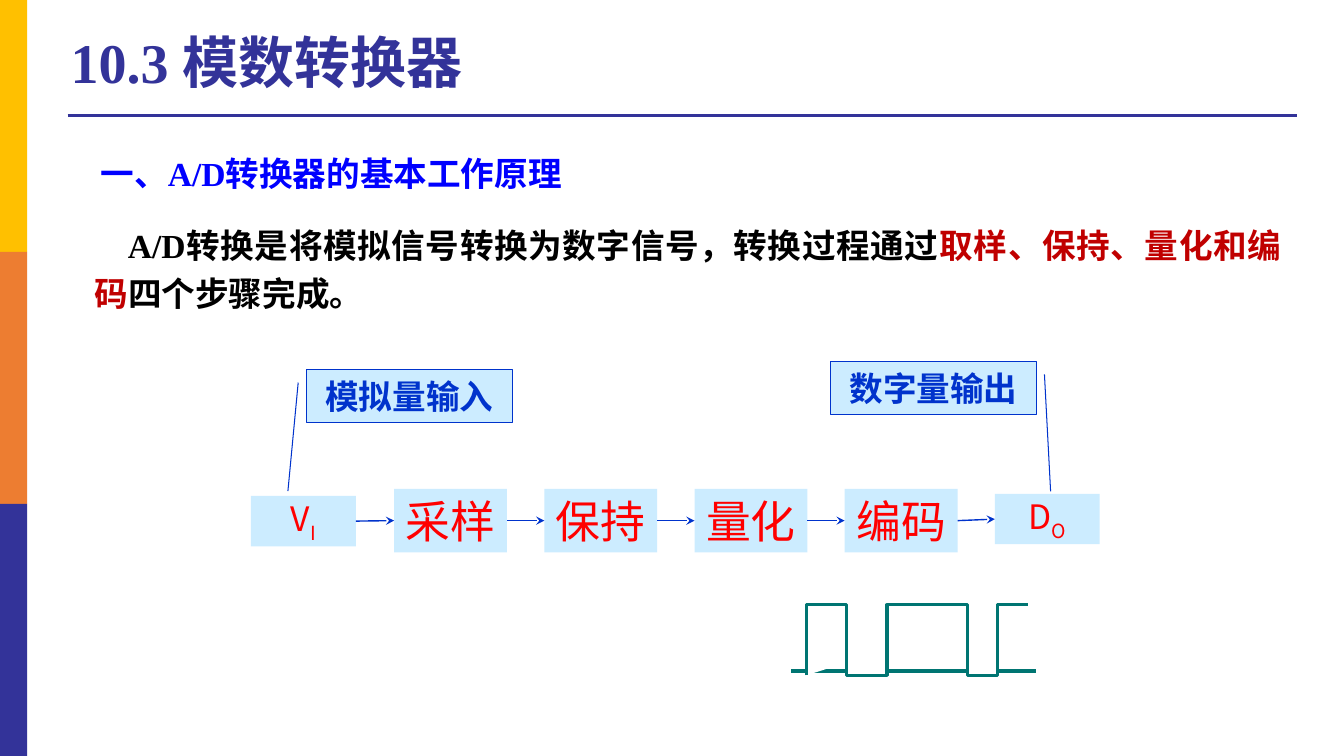
from dataclasses import dataclass
from typing import Optional

from lxml import etree
from pptx import Presentation
from pptx.dml.color import RGBColor
from pptx.enum.shapes import MSO_CONNECTOR, MSO_SHAPE
from pptx.enum.text import MSO_ANCHOR, MSO_AUTO_SIZE, PP_ALIGN
from pptx.oxml.ns import qn
from pptx.util import Inches, Pt

RECTANGLE = MSO_SHAPE.RECTANGLE
CALLOUT = MSO_SHAPE.LINE_CALLOUT_1
STRAIGHT = MSO_CONNECTOR.STRAIGHT
LEFT, CENTER, JUSTIFY = PP_ALIGN.LEFT, PP_ALIGN.CENTER, PP_ALIGN.JUSTIFY
TOP, MIDDLE = MSO_ANCHOR.TOP, MSO_ANCHOR.MIDDLE
SIDE_LEFT, SIDE_RIGHT = 1, 3

# The grid has square cells, ten to the inch.
CELL = Inches(0.1)
COLUMNS, ROWS = 133.33, 75


@dataclass(frozen=True)
class Theme:
    navy: str = "333399"
    gold: str = "FFC000"
    orange: str = "ED7D31"
    heading: str = "0000FF"
    body: str = "000000"
    emphasis: str = "C00000"
    step_text: str = "FF0000"
    step_fill: str = "CCECFF"
    diagram: str = "0033CC"
    pulse: str = "007572"
    white: str = "FFFFFF"
    serif: str = "Times New Roman"
    sans: str = "Noto Sans CJK SC"
    title_size: int = 40
    step_size: int = 32
    text_size: int = 24


THEME = Theme()


@dataclass(frozen=True)
class Box:
    left: float
    top: float
    width: float
    height: float

    def lengths(self) -> tuple:
        return tuple(cells(value) for value in (self.left, self.top, self.width, self.height))


@dataclass(frozen=True)
class Style:
    size: int
    color: str
    font: str
    bold: bool = False
    align: PP_ALIGN = LEFT
    anchor: MSO_ANCHOR = TOP
    line_spacing: float = 1.0


@dataclass(frozen=True)
class Run:
    text: str
    color: Optional[str] = None
    subscript: bool = False


@dataclass(frozen=True)
class Stage:
    box: Box
    runs: tuple
    size: int


@dataclass(frozen=True)
class Callout:
    box: Box
    text: str
    pointer: tuple


def cells(count: float) -> int:
    return round(count * CELL)


def rgb(color: str) -> RGBColor:
    return RGBColor.from_string(color)


def write(shape, runs: tuple, style: Style):
    """Fill the shape with one styled paragraph and return that paragraph."""
    frame = shape.text_frame
    frame.word_wrap = True
    frame.auto_size = MSO_AUTO_SIZE.NONE
    frame.vertical_anchor = style.anchor
    paragraph = frame.paragraphs[0]
    paragraph.alignment = style.align
    paragraph.line_spacing = style.line_spacing
    font = paragraph.font
    font.size, font.bold, font.name = Pt(style.size), style.bold, style.font
    font.color.rgb = rgb(style.color)
    properties = paragraph._p.get_or_add_pPr().find(qn("a:defRPr"))
    etree.SubElement(properties, qn("a:ea"), typeface=THEME.sans)
    for part in runs:
        run = paragraph.add_run()
        run.text = part.text
        if part.color:
            run.font.color.rgb = rgb(part.color)
        if part.subscript:
            run.font._element.set("baseline", "-25000")
    return paragraph


def add_text(slide, box: Box, runs: tuple, style: Style):
    return write(slide.shapes.add_textbox(*box.lengths()), runs, style)


def add_block(slide, box: Box, fill: str, preset: MSO_SHAPE = RECTANGLE):
    shape = slide.shapes.add_shape(preset, *box.lengths())
    shape.shadow.inherit = False
    shape.fill.solid()
    shape.fill.fore_color.rgb = rgb(fill)
    shape.line.fill.background()
    return shape


def set_line(shape, color: str, width: float) -> None:
    shape.line.color.rgb = rgb(color)
    shape.line.width = Pt(width)


def add_line(slide, start: tuple, end: tuple, color: str, width: float):
    line = slide.shapes.add_connector(STRAIGHT, *map(cells, start + end))
    set_line(line, color, width)
    etree.SubElement(line._element.spPr, qn("a:effectLst"))
    return line


def add_arrow(slide, source, target) -> None:
    arrow = add_line(slide, (0, 0), (1, 1), THEME.diagram, 1)
    arrow.begin_connect(source, SIDE_RIGHT)
    arrow.end_connect(target, SIDE_LEFT)
    etree.SubElement(arrow.line._get_or_add_ln(), qn("a:tailEnd"), type="stealth")


def add_frame(slide) -> None:
    """Draw the side bands, the title rule and the title."""
    add_line(slide, (6.7, 11.5), (128.7, 11.5), THEME.navy, 2.25)
    band = ROWS / 3
    for index, color in enumerate((THEME.gold, THEME.orange, THEME.navy)):
        add_block(slide, Box(0, index * band, 2.7, band), color)
    title = slide.shapes.title
    title.left, title.top, title.width, title.height = Box(6, 2.1, 99.1, 8.7).lengths()
    write(title, (Run("10.3 模数转换器"),),
          Style(THEME.title_size, THEME.navy, THEME.serif, True, LEFT, MIDDLE, 0.9))


def add_explanation(slide) -> None:
    body = add_text(slide, Box(8.4, 21, 119.7, 10.7), (
        Run("A/D转换是将模拟信号转换为数字信号，转换过程通过"),
        Run("取样、保持、量化和编码", THEME.emphasis),
        Run("四个步骤完成。"),
    ), Style(THEME.text_size, THEME.body, THEME.serif, True, JUSTIFY, TOP, 1.2))
    body._p.get_or_add_pPr().set("indent", str(cells(3.3)))
    add_text(slide, Box(9, 14.7, 57.5, 5), (Run("一、A/D转换器的基本工作原理"),),
             Style(THEME.text_size, THEME.heading, THEME.serif, True))


def add_stages(slide) -> None:
    first, pitch = 39.1, 14.9
    steps = [Stage(Box(first + index * pitch, 48.5, 11.2, 6.3), (Run(name),), THEME.step_size)
             for index, name in enumerate(("采样", "保持", "量化", "编码"))]
    source = Stage(Box(24.9, 49.2, 10.4, 5), (Run("V"), Run("I", subscript=True)), THEME.text_size)
    result = Stage(Box(first + len(steps) * pitch, 49, 10.4, 5),
                   (Run("D"), Run("O", subscript=True)), THEME.text_size)
    blocks = []
    for stage in (source, *steps, result):
        block = add_block(slide, stage.box, THEME.step_fill)
        write(block, stage.runs,
              Style(stage.size, THEME.step_text, THEME.sans, False, CENTER, MIDDLE))
        blocks.append(block)
    for before, after in zip(blocks, blocks[1:]):
        add_arrow(slide, before, after)


def add_pulse_train(slide) -> None:
    low, high, end = 66.6, 60.5, 102.1
    add_line(slide, (78.5, low), (102.8, low), THEME.pulse, 3)
    points = []
    for rise, fall in ((80.5, 83.7), (87.6, 95.7)):
        points += [(rise, low), (rise, high), (fall, high), (fall, low)]
    points += [(99.2, low), (99.2, high), (end, high)]
    builder = slide.shapes.build_freeform(*points[0], scale=float(CELL))
    builder.add_line_segments(points[1:], close=False)
    pulse = builder.convert_to_shape()
    pulse.shadow.inherit = False
    pulse.fill.solid()
    pulse.fill.fore_color.rgb = rgb(THEME.white)
    set_line(pulse, THEME.pulse, 2.25)


def add_callouts(slide) -> None:
    for callout in (
        Callout(Box(30.4, 36.7, 20.4, 5.2), "模拟量输入", (0.24, -0.04, 2.31, -0.09)),
        Callout(Box(82.4, 35.9, 20.4, 5.2), "数字量输出", (0.24, 1.04, 2.47, 1.07)),
    ):
        shape = add_block(slide, callout.box, THEME.step_fill, CALLOUT)
        set_line(shape, THEME.diagram, 0.75)
        for index, value in enumerate(callout.pointer):
            shape.adjustments[index] = value
        write(shape, (Run(callout.text),),
              Style(THEME.text_size, THEME.diagram, THEME.sans, True, CENTER, MIDDLE))


def main() -> None:
    presentation = Presentation()
    presentation.slide_width, presentation.slide_height = cells(COLUMNS), cells(ROWS)
    slide = presentation.slides.add_slide(presentation.slide_layouts[5])
    for draw in (add_frame, add_explanation, add_stages, add_pulse_train, add_callouts):
        draw(slide)
    presentation.save("out.pptx")


if __name__ == "__main__":
    main()
